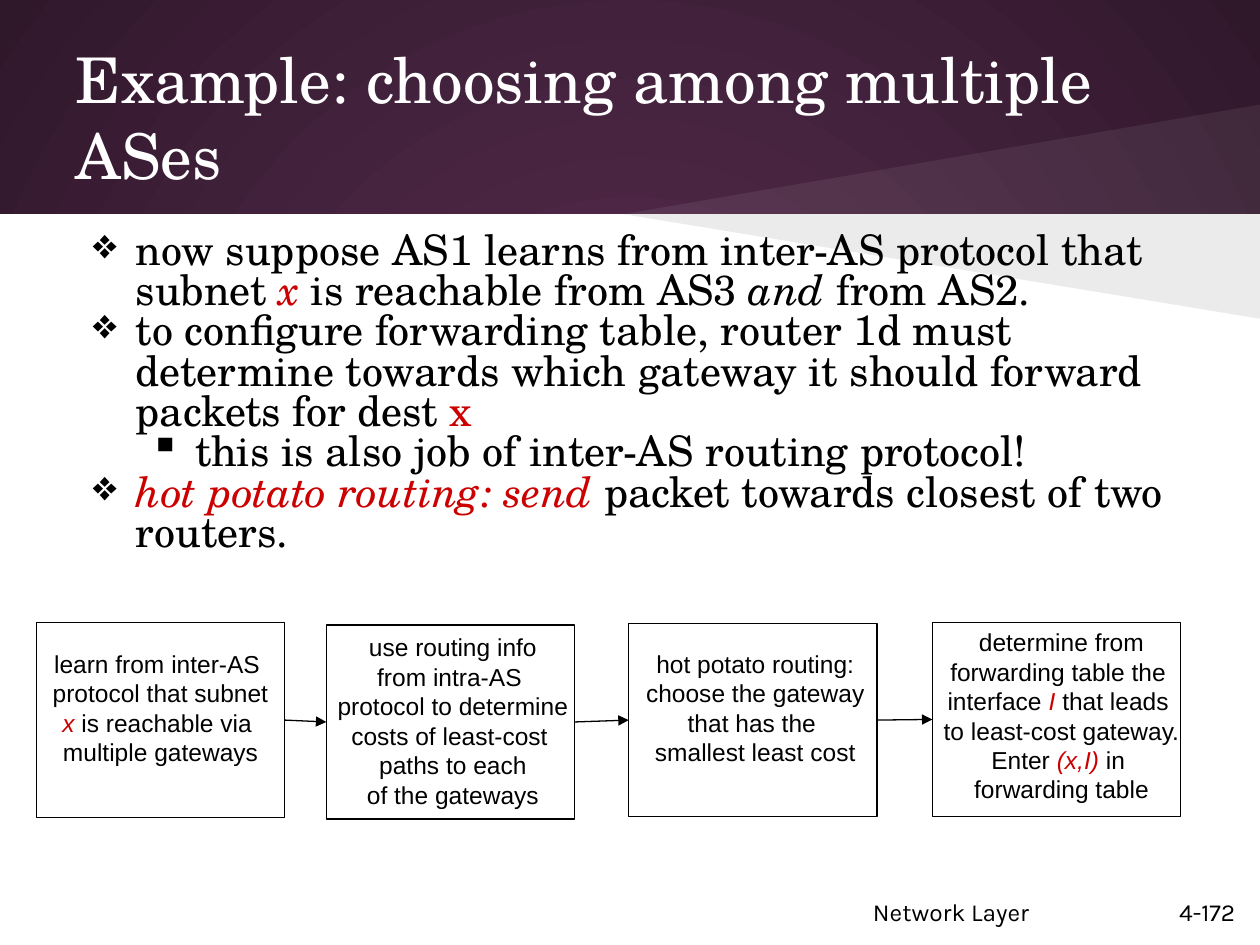
from lxml import etree
from pptx import Presentation
from pptx.dml.color import RGBColor
from pptx.enum.shapes import MSO_CONNECTOR, MSO_SHAPE
from pptx.enum.text import MSO_ANCHOR, MSO_AUTO_SIZE, PP_ALIGN
from pptx.oxml import parse_xml
from pptx.oxml.ns import qn
from pptx.util import Inches, Pt

RECTANGLE = MSO_SHAPE.RECTANGLE
STRAIGHT = MSO_CONNECTOR.STRAIGHT
MIDDLE = MSO_ANCHOR.MIDDLE
NO_FIT = MSO_AUTO_SIZE.NONE
LEFT, CENTER = PP_ALIGN.LEFT, PP_ALIGN.CENTER

COLORS = {"glow": "592D50", "edge": "30182B", "white": "FFFFFF",
          "black": "000000", "red": "CC0000"}
SERIF, SANS, FOOTER = "TeX Gyre Schola", "Arial", "Karla"
PLAIN, ITALIC, RED, RED_ITALIC = ("black", False), ("black", True), ("red", False), ("red", True)


def rgb(name):
    return RGBColor.from_string(COLORS[name])


def write_runs(paragraph, pieces, font_name, size):
    for text, (color, italic) in pieces:
        run = paragraph.add_run()
        run.text = text
        run.font.name = font_name
        run.font.size = Pt(size)
        run.font.italic = italic
        run.font.color.rgb = rgb(color)


prs = Presentation()
prs.slide_width, prs.slide_height = Inches(10), Inches(7.5)
slide = prs.slides.add_slide(prs.slide_layouts[5])
shapes = slide.shapes
title = shapes.title

backdrop = slide.background.fill
backdrop.gradient()
for stop, color in zip(backdrop.gradient_stops, ("glow", "edge")):
    stop.color.rgb = rgb(color)
gradient = slide.background._cSld.find(".//" + qn("a:gradFill"))
gradient.remove(gradient.find(qn("a:lin")))
radial = etree.SubElement(gradient, qn("a:path"), path="circle")
etree.SubElement(radial, qn("a:fillToRect"), l="50000", t="50000", r="50000", b="50000")

panel = shapes.add_shape(RECTANGLE, 0, Inches(1.7), Inches(10), Inches(5.8))
panel.shadow.inherit = False
panel.fill.solid()
panel.fill.fore_color.rgb = rgb("white")
panel.line.fill.background()

for tip_y, color, opacity in ((0.83, "white", 7), (2.53, "black", 8)):
    outline = shapes.build_freeform(Inches(10), Inches(1.7))
    outline.add_line_segments([(Inches(4.95), Inches(1.7)), (Inches(10), Inches(tip_y))])
    beam = outline.convert_to_shape()
    beam.shadow.inherit = False
    beam.fill.solid()
    beam.fill.fore_color.rgb = rgb(color)
    beam.line.fill.background()
    tint = beam._element.spPr.find(".//" + qn("a:srgbClr"))
    etree.SubElement(tint, qn("a:alpha"), val=str(opacity * 1000))

title.left, title.top, title.width, title.height = Inches(0.5), Inches(0.3), Inches(9), Inches(1.25)
heading = title.text_frame
heading.text = "Example: choosing among multiple ASes"
heading.auto_size = NO_FIT
heading.vertical_anchor = MIDDLE
heading.paragraphs[0].alignment = LEFT
heading_font = heading.paragraphs[0].runs[0].font
heading_font.name, heading_font.size = SERIF, Pt(36)
heading_font.color.rgb = rgb("white")

body = shapes.add_textbox(Inches(0.5), Inches(1.75), Inches(9), Inches(5.43)).text_frame
body.word_wrap = True
for frame in (heading, body):
    frame.margin_left = frame.margin_right = Inches(0.1)
    frame.margin_top = frame.margin_bottom = Inches(0.1)

points = [
    (0, [("now suppose AS1 learns from inter-AS protocol that subnet ", PLAIN), ("x ", RED_ITALIC),
         ("is reachable from AS3 ", PLAIN), ("and", ITALIC), (" from AS2.", PLAIN)]),
    (0, [("to configure forwarding table, router 1d must determine towards which gateway "
          "it should forward packets for dest ", PLAIN), ("x", RED)]),
    (1, [("this is also job of inter-AS routing protocol!", PLAIN)]),
    (0, [("hot potato routing: send", RED_ITALIC),
         (" packet towards closest of two routers.", PLAIN)]),
]
bullets = [("❖", 0.48, 0.34), ("▪", 0.95, 0.36)]
for i, (level, pieces) in enumerate(points):
    paragraph = body.paragraphs[0] if i == 0 else body.add_paragraph()
    paragraph.level = level
    paragraph.line_spacing = 0.8
    mark, margin, hang = bullets[level]
    properties = paragraph._p.get_or_add_pPr()
    properties.set("marL", str(Inches(margin)))
    properties.set("indent", str(-Inches(hang)))
    mark_color = etree.SubElement(properties, qn("a:buClr"))
    etree.SubElement(mark_color, qn("a:srgbClr"), val=COLORS["black"])
    etree.SubElement(properties, qn("a:buChar"), char=mark)
    write_runs(paragraph, pieces, SERIF, 24)

for text, left, width in (("Network Layer", 6.83, 2.4), ("4-172", 9.26, 0.74)):
    footer = shapes.add_textbox(Inches(left), Inches(7.07), Inches(width), Inches(0.3)).text_frame
    footer.word_wrap = True
    write_runs(footer.paragraphs[0], [(text, PLAIN)], FOOTER, 14)

steps = [
    ((0.29, 4.94, 1.97, 1.55), (0.31, 5.1, 1.93, 1.04), False,
     [[("learn from inter-AS ", PLAIN)], [("protocol that subnet ", PLAIN)],
      [("x ", RED_ITALIC), ("is reachable via ", PLAIN)], [("multiple gateways", PLAIN)]]),
    ((2.59, 4.96, 1.97, 1.54), (2.44, 4.97, 2.31, 1.52), True,
     [[("use routing info", PLAIN)], [("from intra-AS ", PLAIN)],
      [("protocol to determine", PLAIN)], [("costs of least-cost ", PLAIN)],
      [("paths to each", PLAIN)], [("of the gateways", PLAIN)]]),
    ((4.99, 4.95, 1.97, 1.53), (5.01, 5.1, 1.97, 1.03), True,
     [[("hot potato routing:", PLAIN)], [("choose the gateway", PLAIN)],
      [("that has the ", PLAIN)], [("smallest least cost", PLAIN)]]),
    ((7.4, 4.94, 1.97, 1.54), (7.38, 4.93, 2.09, 1.51), False,
     [[("determine from", PLAIN)], [("forwarding table the ", PLAIN)],
      [("interface", PLAIN), (" I ", RED_ITALIC), ("that leads ", PLAIN)],
      [("to least-cost gateway. ", PLAIN)],
      [("Enter ", PLAIN), ("(x,I) ", RED_ITALIC), ("in ", PLAIN)],
      [("forwarding table", PLAIN)]]),
]
previous_box = None
for box_area, caption_area, wraps, lines in steps:
    box = shapes.add_shape(RECTANGLE, *map(Inches, box_area))
    box.shadow.inherit = False
    box.fill.background()
    box.line.color.rgb = rgb("black")
    box.line.width = Pt(0.75)

    caption = shapes.add_textbox(*map(Inches, caption_area)).text_frame
    caption.word_wrap = wraps
    for i, pieces in enumerate(lines):
        paragraph = caption.paragraphs[0] if i == 0 else caption.add_paragraph()
        paragraph.alignment = CENTER
        write_runs(paragraph, pieces, SANS, 14)

    if previous_box is not None:
        arrow = shapes.add_connector(STRAIGHT, 0, 0, 0, 0)
        arrow.begin_connect(previous_box, 3)
        arrow.end_connect(box, 1)
        arrow.line.color.rgb = rgb("black")
        arrow.line.width = Pt(0.75)
        etree.SubElement(arrow.line._get_or_add_ln(), qn("a:tailEnd"), type="triangle")
        etree.SubElement(arrow._element.spPr, qn("a:effectLst"))
    previous_box = box

prs.save("out.pptx")
